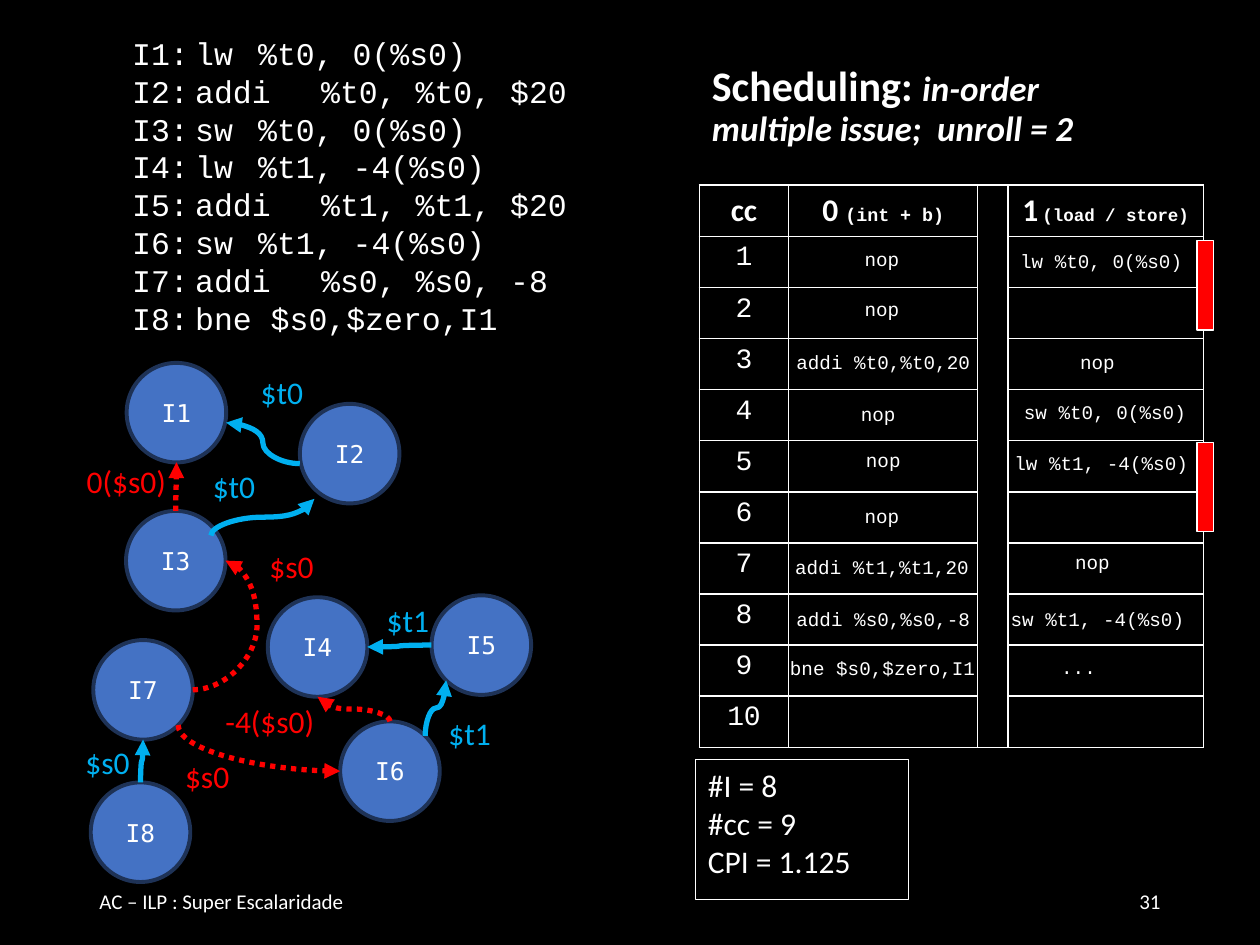
from math import cos, radians, sin
from lxml.etree import SubElement
from pptx import Presentation
from pptx.dml.color import RGBColor
from pptx.enum.dml import MSO_LINE
from pptx.enum.shapes import MSO_CONNECTOR, MSO_SHAPE
from pptx.enum.text import MSO_ANCHOR, MSO_AUTO_SIZE, PP_ALIGN
from pptx.oxml.ns import qn
from pptx.util import Inches, Pt

WHITE, BLACK, RED, CYAN = "FFFFFF", "000000", "FF0000", "00B0F0"
BODY, CODE, NODE = "Calibri", "Courier New", "DejaVu Sans Mono"
LEFT, CENTER, RIGHT = PP_ALIGN.LEFT, PP_ALIGN.CENTER, PP_ALIGN.RIGHT


def color(hex_code):
    return RGBColor.from_string(hex_code)


def cells(count):
    """Length of a number of grid cells; the slide is 100 by 75 cells."""
    return Inches(count / 10)


def write(frame, *lines, align=LEFT, spacing=None, **style):
    """Fill a frame; a line is a string or a list of (text, style) runs."""
    for number, line in enumerate(lines):
        paragraph = frame.add_paragraph() if number else frame.paragraphs[0]
        paragraph.alignment = align
        if spacing:
            paragraph.line_spacing = spacing
        for text, own in [(line, {})] if isinstance(line, str) else line:
            look = {"font": BODY, "size": 18, "fill": WHITE, **style, **own}
            run = paragraph.add_run()
            run.text = text
            run.font.name, run.font.size = look["font"], Pt(look["size"])
            run.font.bold = look.get("bold", False)
            run.font.italic = look.get("italic", False)
            run.font.color.rgb = color(look["fill"])


class Board:
    radius = 3.95

    def __init__(self, deck):
        self.slide = deck.slides.add_slide(deck.slide_layouts[5])
        self.shapes = self.slide.shapes
        self.slide.background.fill.solid()
        self.slide.background.fill.fore_color.rgb = color(BLACK)
        self.nodes = {}

    def title(self, box, runs):
        title = self.shapes.title
        title.left, title.top, title.width, title.height = map(cells, box)
        title.text_frame.vertical_anchor = MSO_ANCHOR.MIDDLE
        title.text_frame.word_wrap = True
        write(title.text_frame, runs, spacing=0.9, bold=True)

    def label(self, box, *lines, wrap=False, anchor=MSO_ANCHOR.TOP, **style):
        frame = self.shapes.add_textbox(*map(cells, box)).text_frame
        frame.word_wrap = wrap
        frame.auto_size = MSO_AUTO_SIZE.NONE if wrap else MSO_AUTO_SIZE.SHAPE_TO_FIT_TEXT
        frame.vertical_anchor = anchor
        write(frame, *lines, **style)
        return frame

    def shape(self, kind, box, fill, line, weight):
        shape = self.shapes.add_shape(kind, *map(cells, box))
        shape.shadow.inherit = False
        if fill:
            shape.fill.solid()
            shape.fill.fore_color.rgb = color(fill)
        else:
            shape.fill.background()
        shape.line.color.rgb, shape.line.width = color(line), Pt(weight)
        return shape

    def node(self, name, x, y):
        r = self.radius
        circle = self.shape(MSO_SHAPE.OVAL, (x - r, y - r, 2 * r, 2 * r), "4472C4", "1E3256", 2.25)
        circle.text_frame.vertical_anchor = MSO_ANCHOR.MIDDLE
        write(circle.text_frame, name, align=CENTER, font=NODE, size=14)
        self.nodes[name] = x, y

    def rim(self, name, angle, drop):
        """Point on a node's rim; the angle runs clockwise from the right."""
        x, y = self.nodes[name]
        turn = radians(angle)
        return x + self.radius * cos(turn), y + self.radius * sin(turn) + drop

    def edge(self, start, end, hue, upright=True, bend=None, drop=0, preset="curvedConnector3"):
        (x1, y1), (x2, y2) = self.rim(*start, drop), self.rim(*end, drop)
        edge = self.shapes.add_connector(MSO_CONNECTOR.CURVE, *map(cells, (x1, y1, x2, y2)))
        properties = edge._element.spPr
        if upright:  # the curve leaves its node vertically: turn its frame
            wide, high = abs(y2 - y1), abs(x2 - x1)
            edge.left, edge.top = cells((x1 + x2 - wide) / 2), cells((y1 + y2 - high) / 2)
            edge.width, edge.height = cells(wide), cells(high)
            rightward, upward = x2 > x1, y2 < y1
            frame = properties.find(qn("a:xfrm"))
            frame.set("rot", "5400000" if rightward == upward else "16200000")
            frame.set("flipH", str(int(rightward)))
            frame.set("flipV", str(int(upward)))
        geometry = properties.find(qn("a:prstGeom"))
        geometry.set("prst", preset)
        if bend:
            SubElement(geometry.find(qn("a:avLst")), qn("a:gd"), name="adj1", fmla=f"val {bend}")
        edge.line.color.rgb, edge.line.width = color(hue), Pt(3)
        if hue == RED:
            edge.line.dash_style = MSO_LINE.ROUND_DOT
        SubElement(properties.find(qn("a:ln")), qn("a:tailEnd"), type="triangle")
        SubElement(properties, qn("a:effectLst"))

    def border(self, cell):
        properties = cell._tc.get_or_add_tcPr()
        for position, side in enumerate(("lnL", "lnR", "lnT", "lnB")):
            line = SubElement(properties, qn(f"a:{side}"), w=str(Pt(1)))
            SubElement(SubElement(line, qn("a:solidFill")), qn("a:srgbClr"), val=WHITE)
            properties.insert(position, line)

    def schedule(self, box, widths, header, cycles):
        table = self.shapes.add_table(cycles + 1, len(widths), *map(cells, box)).table
        for column, width in zip(table.columns, widths):
            column.width = cells(width)
        for cell in table.iter_cells():
            cell.fill.solid()
            cell.fill.fore_color.rgb = color(BLACK)
            self.border(cell)
        table.cell(0, 2).merge(table.cell(cycles, 2))
        for column, runs in header.items():
            write(table.cell(0, column).text_frame, runs, align=CENTER, bold=True)
        for cycle in range(1, cycles + 1):
            write(table.cell(cycle, 0).text_frame, str(cycle), align=CENTER, font=CODE, size=16)


def main():
    deck = Presentation()
    deck.slide_width, deck.slide_height = cells(100), cells(75)
    board = Board(deck)

    # Title and footer
    board.title((55.5, 4, 37.6, 9), [
        ("Scheduling: ", {"size": 24}),
        ("in-order multiple issue;  unroll = 2", {"size": 20, "italic": True})])
    for x, text, align in ((6.9, "AC – ILP : Super Escalaridade", LEFT), (70.6, "31", RIGHT)):
        board.label((x, 69.5, 22.5, 4), text, wrap=True, anchor=MSO_ANCHOR.MIDDLE,
                    align=align, size=12)

    # Schedule table
    board.schedule((55.5, 14.7, 40, 44.6), (7.1, 15, 2.4, 15.5), {
        0: [("cc", {})],
        1: [("0 ", {}), ("(int + b)", {"font": CODE, "size": 10.5})],
        3: [("1", {}), (" ", {"size": 10.5}), ("(load / store)", {"font": CODE, "size": 10})],
    }, cycles=10)

    # Summary
    summary = board.shape(MSO_SHAPE.RECTANGLE, (55.2, 60.3, 16.9, 11.1), None, WHITE, 0.75)
    summary.text_frame.vertical_anchor = MSO_ANCHOR.TOP
    summary.text_frame.word_wrap = False
    write(summary.text_frame, "#I = 8", "#cc = 9", "CPI = 1.125")

    # Program, with a tab stop every five cells
    program = board.label(
        (9.5, 2.2, 36.8, 25.2), "I1:\tlw \t%t0, 0(%s0)", "I2:\taddi\t%t0, %t0, $20",
        "I3:\tsw\t%t0, 0(%s0)", "I4:\tlw \t%t1, -4(%s0)", "I5:\taddi\t%t1, %t1, $20",
        "I6:\tsw\t%t1, -4(%s0)", "I7:\taddi\t%s0, %s0, -8", "I8:\tbne $s0,$zero,I1", font=CODE)
    for line in program.paragraphs:
        stops = SubElement(line._p.get_or_add_pPr(), qn("a:tabLst"))
        for stop in (5, 10, 15):
            SubElement(stops, qn("a:tab"), pos=str(cells(stop)), algn="l")

    # Issued instructions: text, centre, top
    for text, x, y in (
            ("nop", 70, 19.1), ("nop", 70, 23.1), ("addi %t0,%t0,20", 70.1, 27.3),
            ("nop", 69.7, 31.4), ("nop", 70.1, 35.1), ("nop", 70, 39.5),
            ("addi %t1,%t1,20", 70, 43.6), ("addi %s0,%s0,-8", 70.1, 47.7),
            ("bne $s0,$zero,I1", 70.05, 51.6), ("lw %t0, 0(%s0)", 87.4, 19.3),
            ("nop", 87.1, 27.3), ("sw %t0, 0(%s0)", 87.7, 31.3), ("lw %t1, -4(%s0)", 87.4, 35.3),
            ("nop", 86.7, 43.2), ("sw %t1, -4(%s0)", 87.1, 47.7), ("...", 85.6, 51.5)):
        width = 2 + 0.92 * len(text)
        board.label((x - width / 2, y, width, 2.9), text, align=CENTER, font=CODE, size=11)

    # Load delays
    for y in (19.1, 35.1):
        board.shape(MSO_SHAPE.RECTANGLE, (95, y, 1.3, 7.1), RED, WHITE, 0.75)

    # Dependency graph
    for name, x, y in (("I1", 14, 32.75), ("I2", 27.75, 36), ("I3", 13.95, 44.5),
                       ("I4", 25.2, 51.35), ("I5", 38.2, 51.2), ("I6", 30.95, 61.2),
                       ("I7", 11.35, 54.75), ("I8", 11.15, 66.05)):
        board.node(name, x, y)
    board.edge(("I2", 180), ("I1", 0), CYAN, upright=False, drop=0.8)
    board.edge(("I3", -90), ("I1", 90), RED)
    board.edge(("I3", -45), ("I2", 135), CYAN, drop=0.8)
    board.edge(("I5", 180), ("I4", 0), CYAN, upright=False)
    board.edge(("I6", -90), ("I4", 90), RED)
    board.edge(("I6", -45), ("I5", 135), CYAN)
    board.edge(("I7", 45), ("I6", 180), RED, preset="curvedConnector2")
    board.edge(("I8", -90), ("I7", 90), CYAN)
    board.edge(("I7", 0), ("I3", 0), RED, upright=False, bend=196400)
    for text, x, y, hue in (
            ("$t0", 19.7, 29.1, CYAN), ("0($s0)", 5.9, 36.2, RED), ("$t0", 15.9, 36.6, CYAN),
            ("$t1", 29.7, 47.2, CYAN), ("-4($s0)", 16.9, 55.2, RED), ("$t1", 34.6, 56.2, CYAN),
            ("$s0", 13.7, 59.6, RED), ("$s0", 5.8, 58.5, CYAN), ("$s0", 20.4, 42.9, RED)):
        width = {3: 5.5, 6: 8.4, 7: 9.2}[len(text)]
        board.label((x, y, width, 4), text, fill=hue)

    deck.save("out.pptx")


if __name__ == "__main__":
    main()
